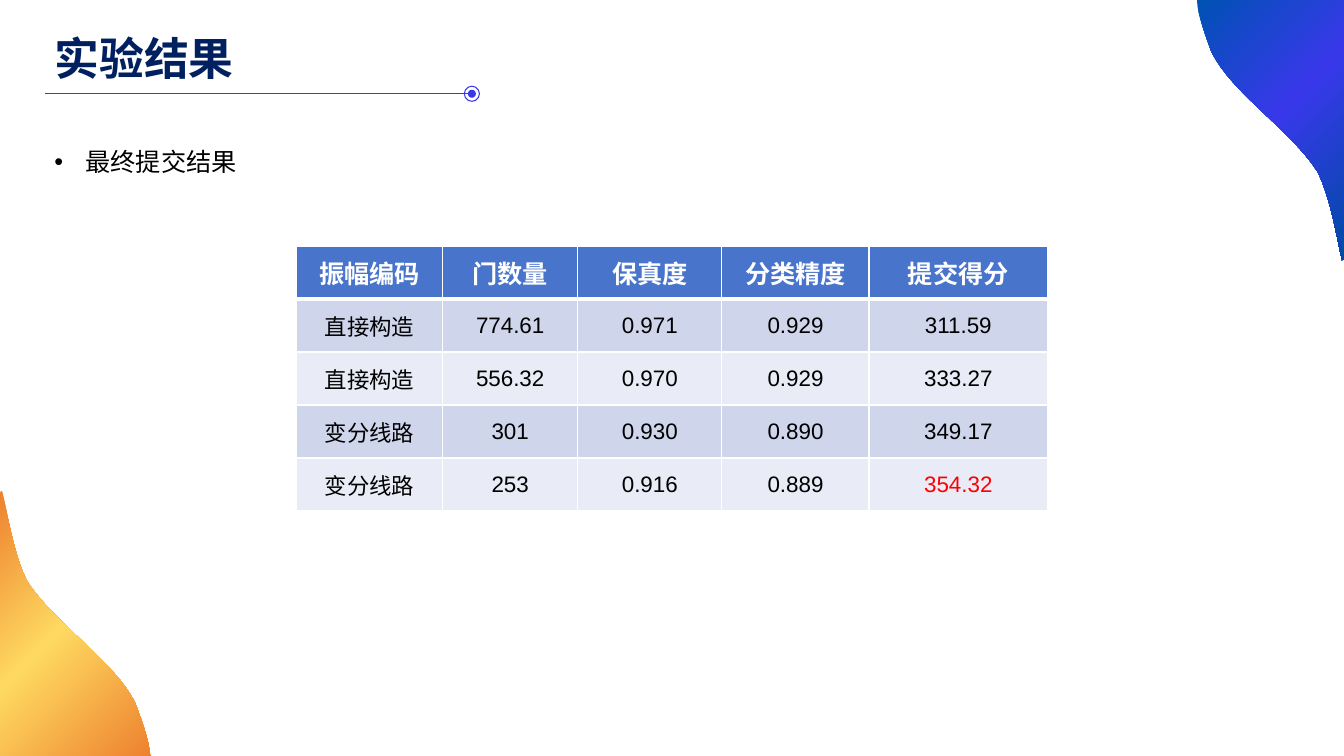
from lxml.etree import SubElement
from pptx import Presentation
from pptx.dml.color import RGBColor
from pptx.enum.shapes import MSO_CONNECTOR, MSO_SHAPE
from pptx.enum.text import MSO_ANCHOR, MSO_AUTO_SIZE, PP_ALIGN
from pptx.oxml.ns import qn
from pptx.util import Inches, Pt

WHITE = RGBColor(0xFF, 0xFF, 0xFF)
BLACK = RGBColor(0, 0, 0)
RED = RGBColor(0xFF, 0, 0)
NAVY = RGBColor(0, 0x20, 0x60)
VIOLET = RGBColor(0x38, 0x38, 0xEA)
HEADER_BLUE = RGBColor(0x48, 0x74, 0xCB)
BAND_DARK = RGBColor(0xCF, 0xD6, 0xEC)
BAND_LIGHT = RGBColor(0xE9, 0xEB, 0xF6)
BLUE_STOPS = [(0, RGBColor(0, 0x4A, 0xA5)), (52, VIOLET), (100, RGBColor(0, 0x52, 0xB4))]
ORANGE = RGBColor(0xEE, 0x82, 0x2F)
ORANGE_STOPS = [(0, ORANGE), (52, RGBColor(0xFE, 0xD9, 0x61)), (100, ORANGE)]

CJK_FONT = "Noto Sans CJK SC"
SLIDE_WIDTH, SLIDE_HEIGHT = 13.33, 7.5
CORNER_EDGE = [(0, 0), (1, 0), (1, 0.996), (0.986, 1), (0.98, 0.984)]
CORNER_CURVES = [
    [(0.94, 0.88), (0.9, 0.75), (0.82, 0.66)],
    [(0.64, 0.5), (0.24, 0.36), (0.1, 0.2)],
    [(0.06, 0.14), (0.03, 0.09), (0.01, 0.04)],
]
CURVE_STEPS = 16

COLUMN_WIDTHS = [1.45, 1.34, 1.43, 1.46, 1.77]
RESULTS = [
    ["振幅编码", "门数量", "保真度", "分类精度", "提交得分"],
    ["直接构造", "774.61", "0.971", "0.929", "311.59"],
    ["直接构造", "556.32", "0.970", "0.929", "333.27"],
    ["变分线路", "301", "0.930", "0.890", "349.17"],
    ["变分线路", "253", "0.916", "0.889", "354.32"],
]


def write_text(frame, text, size, color, font=CJK_FONT, bold=False,
               align=PP_ALIGN.LEFT, anchor=MSO_ANCHOR.TOP):
    frame.vertical_anchor = anchor
    paragraph = frame.paragraphs[0]
    paragraph.alignment = align
    run = paragraph.add_run()
    run.text = text
    run.font.name = font
    run.font.size = Pt(size)
    run.font.bold = bold
    run.font.color.rgb = color
    SubElement(run.font._element, qn("a:ea"), typeface=CJK_FONT)
    return paragraph


def corner_outline():
    points = list(CORNER_EDGE)
    for first, second, end in CORNER_CURVES:
        start = points[-1]
        for step in range(1, CURVE_STEPS + 1):
            t = step / CURVE_STEPS
            weights = ((1 - t) ** 3, 3 * t * (1 - t) ** 2, 3 * t * t * (1 - t), t ** 3)
            points.append(tuple(
                sum(weight * value for weight, value in zip(weights, values))
                for values in zip(start, first, second, end)))
    return points


def fill_radial(shape, stops):
    shape.fill.gradient()
    gradient = shape._element.spPr.find(qn("a:gradFill"))
    for child in list(gradient):
        gradient.remove(child)
    stop_list = SubElement(gradient, qn("a:gsLst"))
    for percent, color in stops:
        stop = SubElement(stop_list, qn("a:gs"), pos=str(percent * 1000))
        SubElement(stop, qn("a:srgbClr"), val=str(color))
    radial = SubElement(gradient, qn("a:path"), {"path": "circle"})
    SubElement(radial, qn("a:fillToRect"), l="100000", t="100000")


def add_corner(slide, left, top, width, height, stops, rotation=0):
    points = [(Inches(x * width), Inches(y * height)) for x, y in corner_outline()]
    builder = slide.shapes.build_freeform(*points[0])
    builder.add_line_segments(points[1:], close=True)
    shape = builder.convert_to_shape(Inches(left), Inches(top))
    shape.shadow.inherit = False
    shape.line.fill.background()
    shape.rotation = rotation
    fill_radial(shape, stops)


def add_circle(shapes, center_x, center_y, diameter):
    circle = shapes.add_shape(
        MSO_SHAPE.OVAL, Inches(center_x - diameter / 2), Inches(center_y - diameter / 2),
        Inches(diameter), Inches(diameter))
    circle.shadow.inherit = False
    return circle


def add_title_rule(slide, left, y, length):
    shapes = slide.shapes.add_group_shape().shapes
    rule = shapes.add_connector(
        MSO_CONNECTOR.STRAIGHT, Inches(left), Inches(y), Inches(left + length), Inches(y))
    SubElement(rule._element.spPr, qn("a:effectLst"))
    center_x = left + length + 0.03
    dot = add_circle(shapes, center_x, y, 0.08)
    dot.fill.solid()
    dot.fill.fore_color.rgb = VIOLET
    dot.line.fill.background()
    ring = add_circle(shapes, center_x, y, 0.15)
    ring.fill.background()
    for outlined in (rule, ring):
        outlined.line.color.rgb = VIOLET
        outlined.line.width = Pt(0.75)


def add_heading(slide, left, top, width, height, text):
    title = slide.shapes.title
    title.left, title.top = Inches(left), Inches(top)
    title.width, title.height = Inches(width), Inches(height)
    title.text_frame.auto_size = MSO_AUTO_SIZE.NONE
    write_text(title.text_frame, text, 32, NAVY, bold=True, anchor=MSO_ANCHOR.MIDDLE)


def add_bullet(slide, left, top, width, height, text):
    box = slide.shapes.add_textbox(Inches(left), Inches(top), Inches(width), Inches(height))
    box.text_frame.word_wrap = False
    paragraph = write_text(box.text_frame, text, 18, BLACK, font="Arial")
    paragraph.line_spacing = 1.25
    properties = paragraph._element.get_or_add_pPr()
    properties.set("marL", str(Inches(0.31)))
    properties.set("indent", str(-Inches(0.31)))
    SubElement(properties, qn("a:buFont"), typeface="Arial")
    SubElement(properties, qn("a:buChar"), char="•")


def set_borders(cell, top_width, bottom_width):
    properties = cell._tc.get_or_add_tcPr()
    widths = {"lnL": 1, "lnR": 1, "lnT": top_width, "lnB": bottom_width}
    for index, (side, width) in enumerate(widths.items()):
        border = SubElement(properties, qn("a:" + side), w=str(Pt(width)))
        color_fill = SubElement(border, qn("a:solidFill"))
        SubElement(color_fill, qn("a:srgbClr"), val=str(WHITE))
        properties.insert(index, border)


def add_results_table(slide, left, top, row_height):
    table = slide.shapes.add_table(
        len(RESULTS), len(COLUMN_WIDTHS), Inches(left), Inches(top),
        Inches(sum(COLUMN_WIDTHS)), Inches(row_height * len(RESULTS))).table
    for column, width in zip(table.columns, COLUMN_WIDTHS):
        column.width = Inches(width)
    best_score = RESULTS[-1][-1]
    for row_index, values in enumerate(RESULTS):
        header = row_index == 0
        band = BAND_DARK if row_index % 2 else BAND_LIGHT
        for column_index, value in enumerate(values):
            cell = table.cell(row_index, column_index)
            cell.fill.solid()
            cell.fill.fore_color.rgb = HEADER_BLUE if header else band
            color = WHITE if header else RED if value == best_score else BLACK
            write_text(cell.text_frame, value, 18 if header else 16, color, font="Arial",
                       bold=header, align=PP_ALIGN.CENTER)
            cell.vertical_anchor = MSO_ANCHOR.MIDDLE
            set_borders(cell, 3 if row_index == 1 else 1, 3 if header else 1)


def add_results_slide(presentation):
    slide = presentation.slides.add_slide(presentation.slide_layouts[5])
    add_corner(slide, SLIDE_WIDTH - 1.46, 0, 1.46, 2.58, BLUE_STOPS)
    add_corner(slide, 0, SLIDE_HEIGHT - 2.63, 1.49, 2.63, ORANGE_STOPS, rotation=180)
    add_title_rule(slide, 0.45, 0.93, 4.2)
    add_heading(slide, 0.44, 0.25, 10.47, 0.64, "实验结果")
    add_results_table(slide, 2.94, 2.44, 0.526)
    add_bullet(slide, 0.44, 1.33, 2.03, 0.44, "最终提交结果")


def main():
    presentation = Presentation()
    presentation.slide_width = Inches(SLIDE_WIDTH)
    presentation.slide_height = Inches(SLIDE_HEIGHT)
    add_results_slide(presentation)
    presentation.save("out.pptx")


if __name__ == "__main__":
    main()
